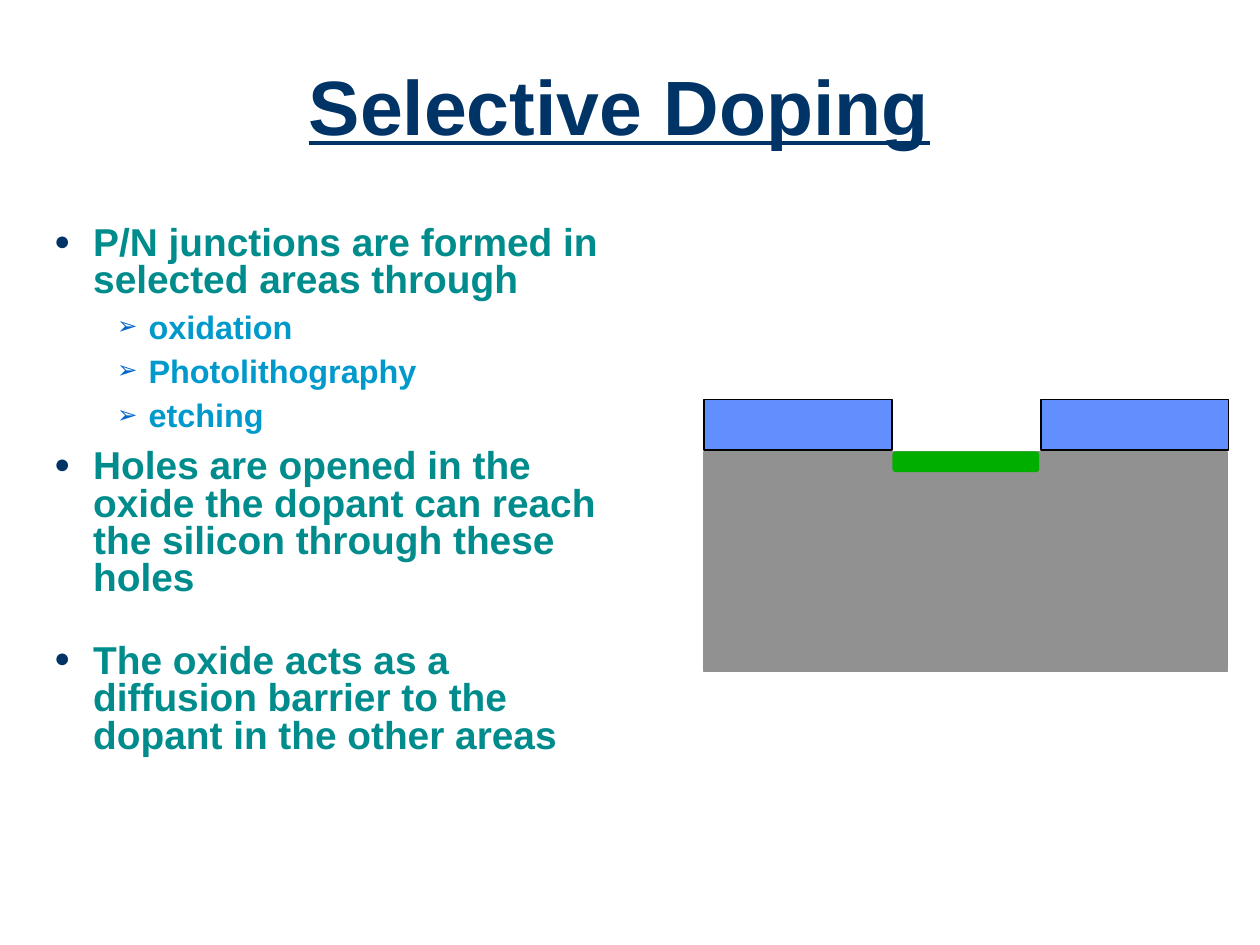
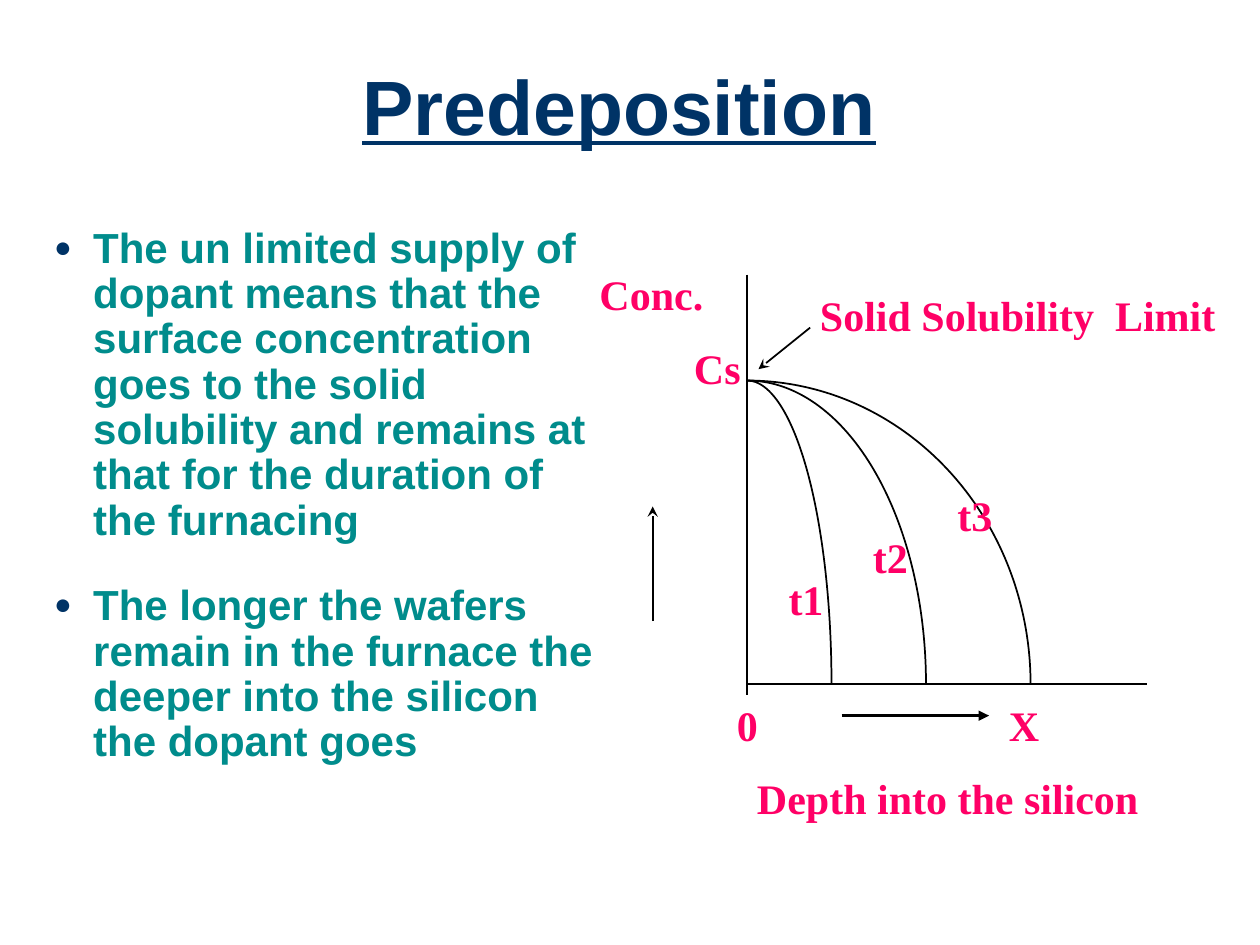
from dataclasses import dataclass
from typing import Any

from lxml import etree
from pptx import Presentation
from pptx import util as u
from pptx.dml import color
from pptx.enum import shapes, text
from pptx.oxml import ns

NAVY, TEAL, SKY, BLUE = "003366", "008C8C", "0099CC", "0066CC"
PINK, BLACK, GREY, OXIDE, GREEN = "FF0066", "000000", "919191", "618FFD", "00AE00"
KIND = shapes.MSO_SHAPE


@dataclass
class Level:
    tint: str
    mark: str
    dot: str
    size: int
    left: float
    hang: float


@dataclass
class Item:
    words: str
    pts: float
    gap: float = 9
    level: int = 0


@dataclass
class Block:
    kind: Any
    x: float
    y: float
    w: float
    h: float
    fill: str
    line: str


@dataclass
class Label:
    words: str
    x: float
    y: float
    w: float


@dataclass
class Rule:
    x1: float
    y1: float
    x2: float
    y2: float
    head: str = ""
    width: float = 1


LEVELS = [
    Level(TEAL, "●", NAVY, 70, 0.31, 0.31),
    Level(SKY, "➢", BLUE, 75, 0.75, 0.25),
]
TITLE = {"name": "Arial", "size": u.Pt(44), "bold": True, "underline": True}
LIST = {"name": "Arial", "bold": True}
NOTE = {"name": "Times New Roman", "size": u.Pt(24), "bold": True}


def rgb(code: str) -> color.RGBColor:
    return color.RGBColor.from_string(code)


def put(goal: Any, form: dict) -> None:
    for name, value in form.items():
        setattr(goal, name, value)


def box(x: float, y: float, w: float, h: float) -> dict:
    names = ("left", "top", "width", "height")
    return {n: u.Inches(v) for n, v in zip(names, (x, y, w, h))}


def node(root: Any, tag: str, **attrs: str) -> Any:
    return etree.SubElement(root, ns.qn(tag), attrs)


def write(para: Any, words: str, form: dict, tint: str) -> None:
    run = para.add_run()
    run.text = words
    put(run.font, form)
    run.font.color.rgb = rgb(tint)


def stroke(line: Any, tint: str, width: float = 1) -> None:
    line.color.rgb = rgb(tint)
    line.width = u.Pt(width)


def bullet(para: Any, level: Level) -> None:
    props = para._p.get_or_add_pPr()
    props.set("marL", str(u.Inches(level.left)))
    props.set("indent", str(-u.Inches(level.hang)))
    node(node(props, "a:buClr"), "a:srgbClr", val=level.dot)
    node(props, "a:buSzPct", val=str(level.size * 1000))
    node(props, "a:buFont", typeface="Arial")
    node(props, "a:buChar", char=level.mark)


def start(deck: Any, title: str, items: list[Item], pitch: float) -> Any:
    slide = deck.slides.add_slide(deck.slide_layouts[1])
    head, body = slide.placeholders
    put(head, box(0.25, 0.25, 9.33, 1.25))
    put(body, box(0.33, 1.75, 4.57, 4.5))
    for frame in (head.text_frame, body.text_frame):
        put(frame, {"auto_size": text.MSO_AUTO_SIZE.NONE, "word_wrap": True})
    head.text_frame.vertical_anchor = text.MSO_ANCHOR.MIDDLE
    para = head.text_frame.paragraphs[0]
    put(para, {"alignment": text.PP_ALIGN.CENTER, "line_spacing": 0.9})
    write(para, title, TITLE, NAVY)
    frame = body.text_frame
    for i, item in enumerate(items):
        para = frame.add_paragraph() if i else frame.paragraphs[0]
        level = LEVELS[item.level]
        put(para, {"level": item.level, "line_spacing": pitch,
                   "space_before": u.Pt(item.gap)})
        bullet(para, level)
        write(para, item.words, LIST | {"size": u.Pt(item.pts)}, level.tint)
    return slide


def block(slide: Any, part: Block) -> None:
    place = box(part.x, part.y, part.w, part.h)
    shape = slide.shapes.add_shape(part.kind, *place.values())
    shape.shadow.inherit = False
    shape.fill.solid()
    shape.fill.fore_color.rgb = rgb(part.fill)
    stroke(shape.line, part.line)
    if part.kind == KIND.ROUNDED_RECTANGLE:
        shape.adjustments[0] = 0.125


def rule(slide: Any, part: Rule) -> None:
    ends = (u.Inches(v) for v in (part.x1, part.y1, part.x2, part.y2))
    link = slide.shapes.add_connector(shapes.MSO_CONNECTOR.STRAIGHT, *ends)
    stroke(link.line, BLACK, part.width)
    if part.head:
        node(link.line._get_or_add_ln(), "a:tailEnd", type=part.head)
    node(link._element.spPr, "a:effectLst")


def curve(slide: Any, x: float, y: float, reach: float, drop: float) -> None:
    place = box(x - reach, y - drop, 2 * reach, 2 * drop)
    arc = slide.shapes.add_shape(KIND.ARC, *place.values())
    arc.shadow.inherit = False
    arc.fill.background()
    stroke(arc.line, BLACK)


def label(slide: Any, part: Label) -> None:
    place = box(part.x, part.y, part.w, 0.5)
    frame = slide.shapes.add_textbox(*place.values()).text_frame
    put(frame, {"word_wrap": False, "auto_size": text.MSO_AUTO_SIZE.SHAPE_TO_FIT_TEXT})
    write(frame.paragraphs[0], part.words, NOTE, PINK)


def doping(deck: Any) -> None:
    steps = [Item(s, 18.5, 7.5, 1) for s in ("oxidation", "Photolithography", "etching")]
    slide = start(deck, "Selective Doping", [
        Item("P/N junctions are formed in selected areas through", 22.2),
        *steps,
        Item("Holes are opened in the oxide the dopant can reach the silicon "
             "through these holes", 22.2),
        Item("The oxide acts as a diffusion barrier to the dopant in the other areas",
             22.2, 26),
    ], 0.8)
    block(slide, Block(KIND.RECTANGLE, 5.59, 3.59, 4.15, 1.74, GREY, GREY))
    for x in (5.59, 8.26):
        block(slide, Block(KIND.RECTANGLE, x, 3.17, 1.49, 0.4, OXIDE, BLACK))
    block(slide, Block(KIND.ROUNDED_RECTANGLE, 7.09, 3.59, 1.15, 0.15, GREEN, GREEN))


def predep(deck: Any) -> None:
    slide = start(deck, "Predeposition", [
        Item("The un limited supply of dopant means that the surface concentration "
             "goes to the solid solubility and remains at that for the duration of "
             "the furnacing", 24),
        Item("The longer the wafers remain in the furnace the deeper into the silicon "
             "the dopant goes", 24, 23),
    ], 0.9)
    x, y = 5.93, 5.43
    for part in (
        Rule(x, 2.18, x, 5.52),
        Rule(x, y, 9.1, y),
        Rule(5.18, 4.93, 5.18, 4.02, "stealth"),
        Rule(6.68, 5.68, 7.85, 5.68, "triangle", 2),
        Rule(6.43, 2.6, 6.02, 2.93, "stealth"),
    ):
        rule(slide, part)
    for i, reach in enumerate((0.67, 1.42, 2.25)):
        curve(slide, x, y, reach, 2.41)
        label(slide, Label(f"t{i + 1}", 6.16 + 0.67 * i, 4.5 - i / 3, 0.48))
    for part in (
        Label("X", 7.91, 5.5, 0.44),
        Label("Depth into the silicon", 5.91, 6.08, 3.23),
        Label("Conc.", 4.66, 2.08, 1.03),
        Label("Solid Solubility  Limit", 6.41, 2.25, 3.34),
        Label("Cs", 5.41, 2.67, 0.57),
        Label("0", 5.75, 5.5, 0.37),
    ):
        label(slide, part)


def main() -> None:
    deck = Presentation()
    put(deck, {"slide_width": u.Inches(10), "slide_height": u.Inches(7.5)})
    doping(deck)
    predep(deck)
    deck.save("out.pptx")


if __name__ == "__main__":
    main()
